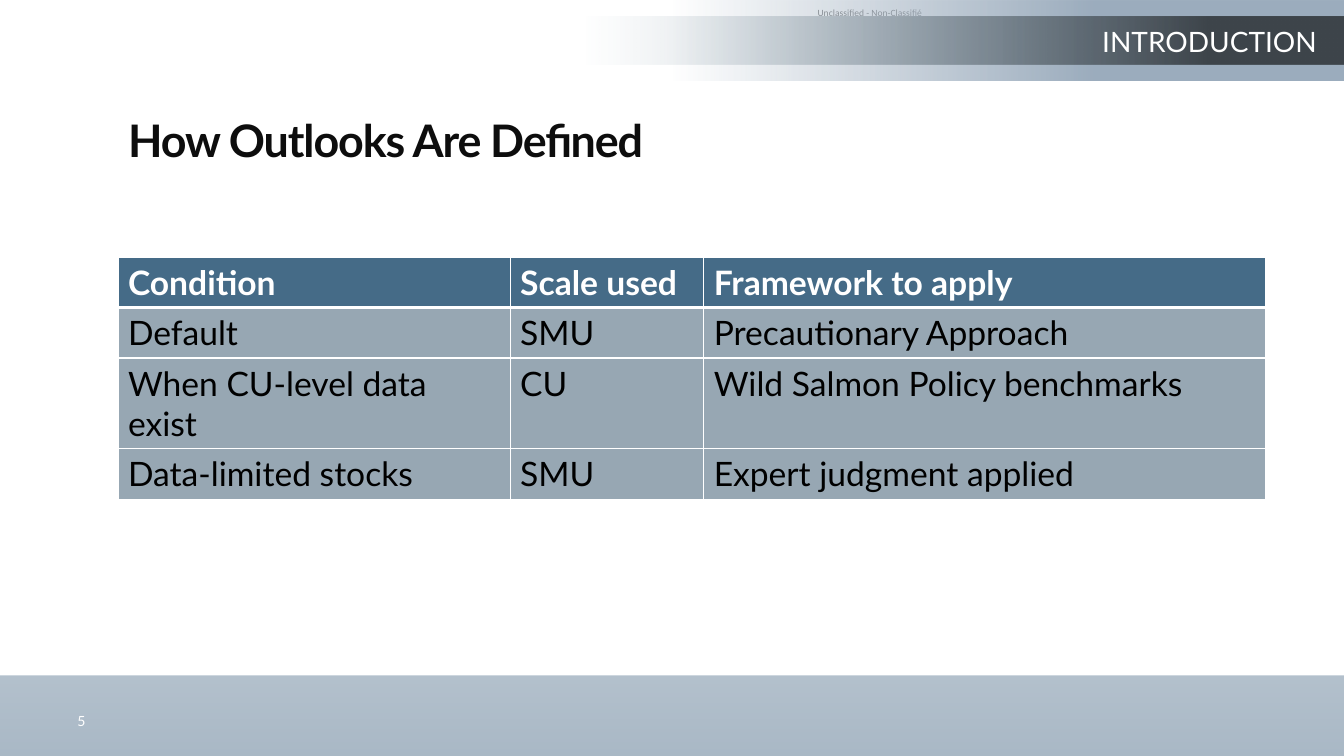
import pptx
import pptx.util
import pptx.dml.color
import pptx.enum.shapes
import pptx.enum.text
import pptx.oxml
import pptx.oxml.ns
from lxml import etree

Inches, Pt = pptx.util.Inches, pptx.util.Pt
RGBColor = pptx.dml.color.RGBColor
Align, Anchor = pptx.enum.text.PP_ALIGN, pptx.enum.text.MSO_ANCHOR
qn = pptx.oxml.ns.qn

WHITE = RGBColor(0xFF, 0xFF, 0xFF)
BLACK = RGBColor(0, 0, 0)
INK = RGBColor(0x0D, 0x0D, 0x0D)
HEAD = RGBColor(0x45, 0x6B, 0x87)
BODY = RGBColor(0x97, 0xA7, 0xB3)
FOOT = RGBColor(0x94, 0xA7, 0xB8)
TOP = RGBColor(0x9C, 0xAD, 0xBE)
MIST = RGBColor(0x97, 0xAD, 0xBB)
SLATE = RGBColor(0x3E, 0x45, 0x4B)

TITLE = "How Outlooks Are Defined"
ROWS = [
    ("Condition", "Scale used", "Framework to apply"),
    ("Default", "SMU", "Precautionary Approach"),
    ("When CU-level data exist", "CU", "Wild Salmon Policy benchmarks"),
    ("Data-limited stocks", "SMU", "Expert judgment applied"),
]
WIDTHS = (3.89, 1.92, 5.57)
BANDS = [
    ((0, 0.92, 13.33, 6.58), 270, [(0, FOOT, 0), (100, FOOT, 80)]),
    ((0, 0.8, 13.33, 5.9), None, WHITE),
    ((6.67, 0.01, 6.67, 0.79), 0, [(0, TOP, 0), (63, TOP, 100), (100, TOP, 100)]),
    ((3.68, 0.16, 9.66, 0.48), 0, [(22, MIST, 0), (86, SLATE, 100), (100, SLATE, 100)]),
]


def fade(node, alpha):
    """Give a colour node an opacity in percent."""
    etree.SubElement(node, qn("a:alpha")).set("val", str(alpha * 1000))


def add_band(slide, box, angle, paint):
    """Draw a borderless rectangle with a plain or gradient fill."""
    band = slide.shapes.add_shape(
        pptx.enum.shapes.MSO_SHAPE.RECTANGLE, *map(Inches, box))
    band.shadow.inherit = False
    band.line.fill.background()
    if angle is None:
        band.fill.solid()
        band.fill.fore_color.rgb = paint
        return
    band.fill.gradient()
    band.fill.gradient_angle = angle
    stops = band.element.spPr.find(".//" + qn("a:gsLst"))
    for old in list(stops):
        stops.remove(old)
    for pos, color, alpha in paint:
        stop = etree.SubElement(stops, qn("a:gs"))
        stop.set("pos", str(pos * 1000))
        node = etree.SubElement(stop, qn("a:srgbClr"))
        node.set("val", str(color))
        fade(node, alpha)


def write(frame, text, size, color, face="Lato", bold=False):
    """Set one line of text and return its run."""
    frame.text = text
    run = frame.paragraphs[0].runs[0]
    run.font.name, run.font.size, run.font.bold = face, Pt(size), bold
    run.font.color.rgb = color
    return run


def add_text(slide, box, anchor=Anchor.TOP):
    """Add a wrapping text box and return its frame."""
    frame = slide.shapes.add_textbox(*map(Inches, box)).text_frame
    frame.word_wrap = True
    frame.vertical_anchor = anchor
    return frame


def add_title(slide):
    """Place the title above the bands."""
    title = slide.shapes.title
    title.element.getparent().append(title.element)
    title.left, title.top, title.width, title.height = map(
        Inches, (1.17, 1.13, 5.5, 0.52))
    frame = title.text_frame
    run = write(frame, TITLE, 32, INK, bold=True)
    run.font._element.set("spc", "-80")
    frame.word_wrap = True
    frame.auto_size = pptx.enum.text.MSO_AUTO_SIZE.NONE
    frame.vertical_anchor = Anchor.TOP
    line = frame.paragraphs[0]
    line.alignment = Align.LEFT
    line.line_spacing = 0.9


def edge(cell, thick):
    """Rule a cell in white, with its own bottom width."""
    props = cell._tc.get_or_add_tcPr()
    for spot, (side, width) in enumerate(
            (("L", 1), ("R", 1), ("T", 1), ("B", thick))):
        rule = etree.Element(qn("a:ln" + side), w=str(Pt(width)))
        fill = etree.SubElement(rule, qn("a:solidFill"))
        etree.SubElement(fill, qn("a:srgbClr")).set("val", str(WHITE))
        props.insert(spot, rule)


def add_grid(slide):
    """Build the table of conditions."""
    grid = slide.shapes.add_table(
        len(ROWS), len(WIDTHS), Inches(1.17), Inches(2.55),
        Inches(sum(WIDTHS)), Inches(2)).table
    for col, width in zip(grid.columns, WIDTHS):
        col.width = Inches(width)
    for r, row in enumerate(ROWS):
        top = r == 0
        for c, text in enumerate(row):
            cell = grid.cell(r, c)
            cell.fill.solid()
            cell.fill.fore_color.rgb = HEAD if top else BODY
            write(cell.text_frame, text, 24, WHITE if top else BLACK, bold=top)
            edge(cell, 3 if top else 1)


def main():
    """Build and save the slide."""
    deck = pptx.Presentation()
    deck.slide_width, deck.slide_height = Inches(13.33), Inches(7.5)
    slide = deck.slides.add_slide(deck.slide_layouts[5])

    mark = add_text(slide, (8.11, 0.07, 1.86, 0.11))
    mark.margin_left = mark.margin_right = mark.margin_top = mark.margin_bottom = 0
    run = write(mark, "Unclassified - Non-Classifié", 6.8, BLACK, "Calibri")
    fade(run.font._element.find(".//" + qn("a:srgbClr")), 50)

    for band in BANDS:
        add_band(slide, *band)
    write(add_text(slide, (0.67, 7.06, 1.43, 0.18), Anchor.MIDDLE), "5", 10, WHITE)
    add_title(slide)
    part = add_text(slide, (9.11, 0.19, 4.05, 0.38))
    write(part, "INTRODUCTION", 20, WHITE)
    part.paragraphs[0].alignment = Align.RIGHT
    add_grid(slide)
    deck.save("out.pptx")


if __name__ == "__main__":
    main()
